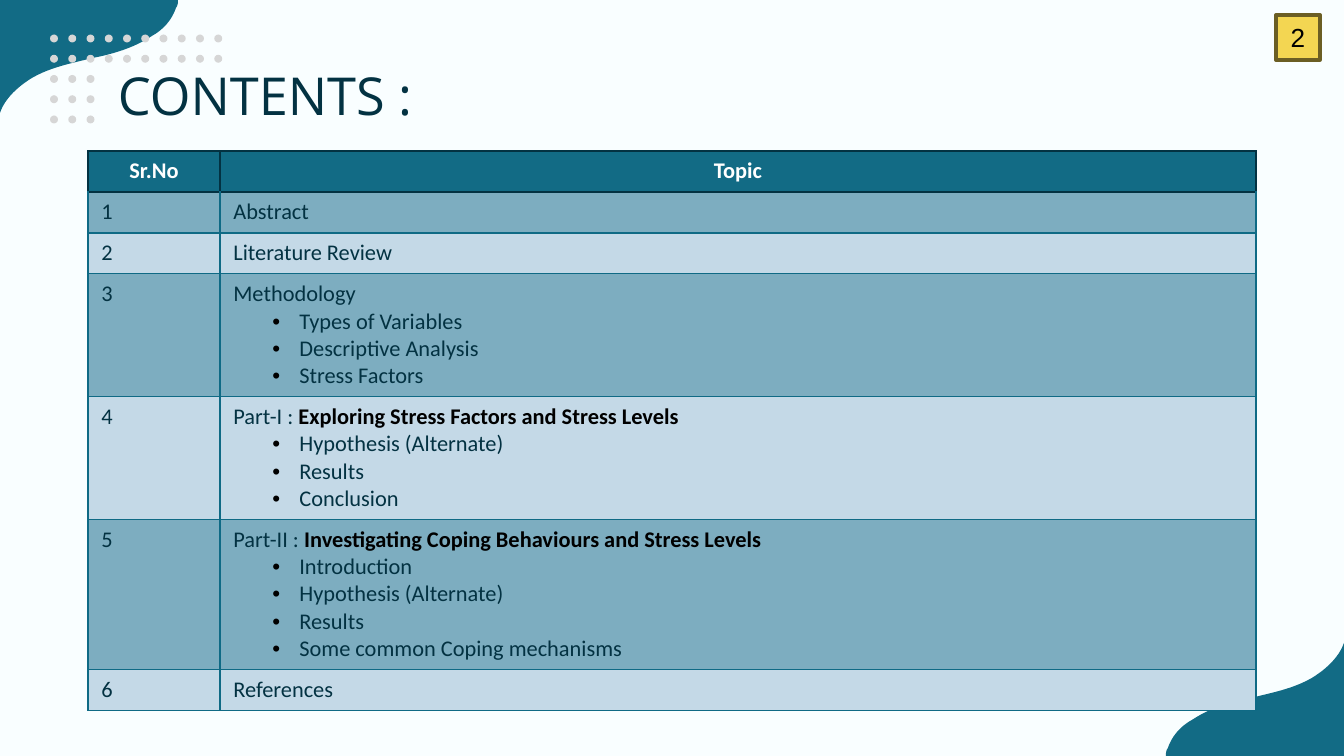
from lxml import etree
from pptx import Presentation
from pptx.dml.color import RGBColor
from pptx.enum.shapes import MSO_SHAPE as Shape
from pptx.enum.text import MSO_ANCHOR as Anchor, PP_ALIGN as Align
from pptx.oxml import parse_xml
from pptx.oxml.ns import nsdecls, qn
from pptx.util import Emu, Pt

TITLE = "CONTENTS :"
PAGE = "2"
HEAD = ("Sr.No", "Topic")
# Each topic: plain lead, bold part, bullets
TOPICS = [
    ("Abstract", "", []),
    ("Literature Review", "", []),
    ("Methodology", "",
     ["Types of Variables", "Descriptive Analysis", "Stress Factors"]),
    ("Part-I : ", "Exploring Stress Factors and Stress Levels",
     ["Hypothesis (Alternate)", "Results", "Conclusion"]),
    ("Part-II : ", "Investigating Coping Behaviours and Stress Levels",
     ["Introduction", "Hypothesis (Alternate)", "Results",
      "Some common Coping mechanisms"]),
    ("References", "", []),
]

WIDE, HIGH = 1344, 756
SCALE = 9144000 / WIDE
TABLE = (88, 151)
COLS = (132, 1036)
ROWS = {0: 41, 3: 122, 4: 150}  # height by number of bullets

# Corner wave: start point, then cubic curves
START = (178, 0)
CURVES = [
    ((178, 3), (178, 5), (176, 8)),
    ((172, 20), (163, 30), (152, 36)),
    ((134, 48), (113, 54), (93, 58)),
    ((73, 63), (51, 67), (32, 78)),
    ((19, 86), (5, 98), (0, 113)),
]
DOTS = (10, 10, 3, 3, 3)  # dots in each row

MIST = RGBColor(0xF9, 0xFE, 0xFF)
TEAL = RGBColor(0x12, 0x6B, 0x85)
EDGE = RGBColor(0x0F, 0x6A, 0x85)
NAVY = RGBColor(0x03, 0x32, 0x42)
BAND = RGBColor(0x7D, 0xAD, 0xC0)
PALE = RGBColor(0xC4, 0xD9, 0xE7)
GREY = RGBColor(0xD6, 0xD6, 0xD6)
GOLD = RGBColor(0xF3, 0xD6, 0x52)
BROWN = RGBColor(0x6B, 0x5E, 0x24)
BLACK = RGBColor(0, 0, 0)
WHITE = RGBColor(255, 255, 255)


def px(n):
    return Emu(round(n * SCALE))


def write(para, text, size=12, font="Calibri", color=NAVY, bold=False,
          align=Align.LEFT):
    para.alignment = align
    run = para.add_run()
    run.text = text
    face = run.font
    face.size, face.name, face.bold = Pt(size), font, bold
    face.color.rgb = color
    return run


def bullet(para):
    props = para._p.get_or_add_pPr()
    props.set("marL", str(px(66)))
    props.set("indent", str(-px(27)))
    color = etree.SubElement(props, qn("a:buClr"))
    etree.SubElement(color, qn("a:srgbClr"), val=str(BLACK))
    etree.SubElement(props, qn("a:buFont"), typeface="Arial")
    etree.SubElement(props, qn("a:buChar"), char="•")


def border(cell, color, width, top=None):
    props = cell._tc.get_or_add_tcPr()
    for i, side in enumerate(("lnL", "lnR", "lnT", "lnB")):
        tint, size = top if top and side == "lnT" else (color, width)
        props.insert(i, parse_xml(
            f'<a:{side} {nsdecls("a")} w="{Pt(size)}"><a:solidFill>'
            f'<a:srgbClr val="{tint}"/></a:solidFill></a:{side}>'))


def paint(item, color):
    item.fill.solid()
    item.fill.fore_color.rgb = color


def plain(shape, color):
    shape.shadow.inherit = False
    paint(shape, color)
    shape.line.fill.background()
    return shape


def wave(shapes, turned):
    """Draw the corner wave, at the far corner when turned."""
    pts, last = [START], START
    for one, two, end in CURVES:
        for step in range(1, 13):
            t = step / 12
            u = 1 - t
            pts.append(tuple(
                u**3 * a + 3 * u * u * t * b + 3 * u * t * t * c + t**3 * d
                for a, b, c, d in zip(last, one, two, end)))
        last = end
    pts.append((0, 0))
    if turned:
        pts = [(WIDE - x, HIGH - y) for x, y in pts]
    pts = [(px(x), px(y)) for x, y in pts]
    form = shapes.build_freeform(*pts[0], scale=1.0)
    form.add_line_segments(pts[1:], close=True)
    plain(form.convert_to_shape(), TEAL)


def grid(shapes):
    rows = [ROWS[0]] + [ROWS[len(subs)] for _, _, subs in TOPICS]
    area = [px(n) for n in (*TABLE, sum(COLS), sum(rows))]
    table = shapes.add_table(len(rows), len(COLS), *area).table
    table.horz_banding = False
    for col, width in zip(table.columns, COLS):
        col.width = px(width)
    for row, height in zip(table.rows, rows):
        row.height = px(height)
    for cell, text in zip(table.rows[0].cells, HEAD):
        border(cell, NAVY, 1)
        paint(cell, TEAL)
        write(cell.text_frame.paragraphs[0], text, color=WHITE, bold=True,
              align=Align.CENTER)
    for n, (lead, strong, subs) in enumerate(TOPICS, 1):
        left, right = table.rows[n].cells
        for cell in (left, right):
            border(cell, EDGE, 0.75, top=(NAVY, 1) if n == 1 else None)
            paint(cell, BAND if n % 2 else PALE)
        write(left.text_frame.paragraphs[0], str(n))
        frame = right.text_frame
        write(frame.paragraphs[0], lead)
        if strong:
            write(frame.paragraphs[0], strong, color=BLACK, bold=True)
        for sub in subs:
            para = frame.add_paragraph()
            bullet(para)
            write(para, sub)


def main():
    deck = Presentation()
    deck.slide_width, deck.slide_height = px(WIDE), px(HIGH)
    slide = deck.slides.add_slide(deck.slide_layouts[5])
    shapes = slide.shapes
    paint(slide.background, MIST)

    for turned in (False, True):
        wave(shapes, turned)
    for row, count in enumerate(DOTS):
        for col in range(count):
            spot = (50 + col * 18.25, 34.5 + row * 20.25, 8, 8)
            dot = shapes.add_shape(Shape.OVAL, *[px(n) for n in spot])
            plain(dot, GREY)

    title = shapes.title
    dot._element.addnext(title._element)  # in front of the dots
    title.left, title.top, title.width, title.height = [
        px(n) for n in (105, 52, 1134, 85)]
    frame = title.text_frame
    frame.vertical_anchor = Anchor.MIDDLE
    frame.margin_left = frame.margin_right = px(13)
    frame.margin_top = frame.margin_bottom = px(13)
    run = write(frame.paragraphs[0], TITLE, size=28, font="Open Sans")
    run.font._element.find(qn("a:solidFill")).addnext(parse_xml(
        f'<a:effectLst {nsdecls("a")}><a:outerShdw dist="38100" dir="2700000">'
        f'<a:srgbClr val="{GREY}"/></a:outerShdw></a:effectLst>'))

    grid(shapes)

    badge = shapes.add_shape(Shape.RECTANGLE,
                             *[px(n) for n in (1276, 15, 44, 45)])
    plain(badge, GOLD)
    badge.line.color.rgb = BROWN
    badge.line.width = Pt(2)
    badge.text_frame.vertical_anchor = Anchor.MIDDLE
    badge.text_frame.word_wrap = False
    write(badge.text_frame.paragraphs[0], PAGE, size=14, font="Arial",
          color=BLACK, align=Align.CENTER)
    deck.save("out.pptx")


if __name__ == "__main__":
    main()
